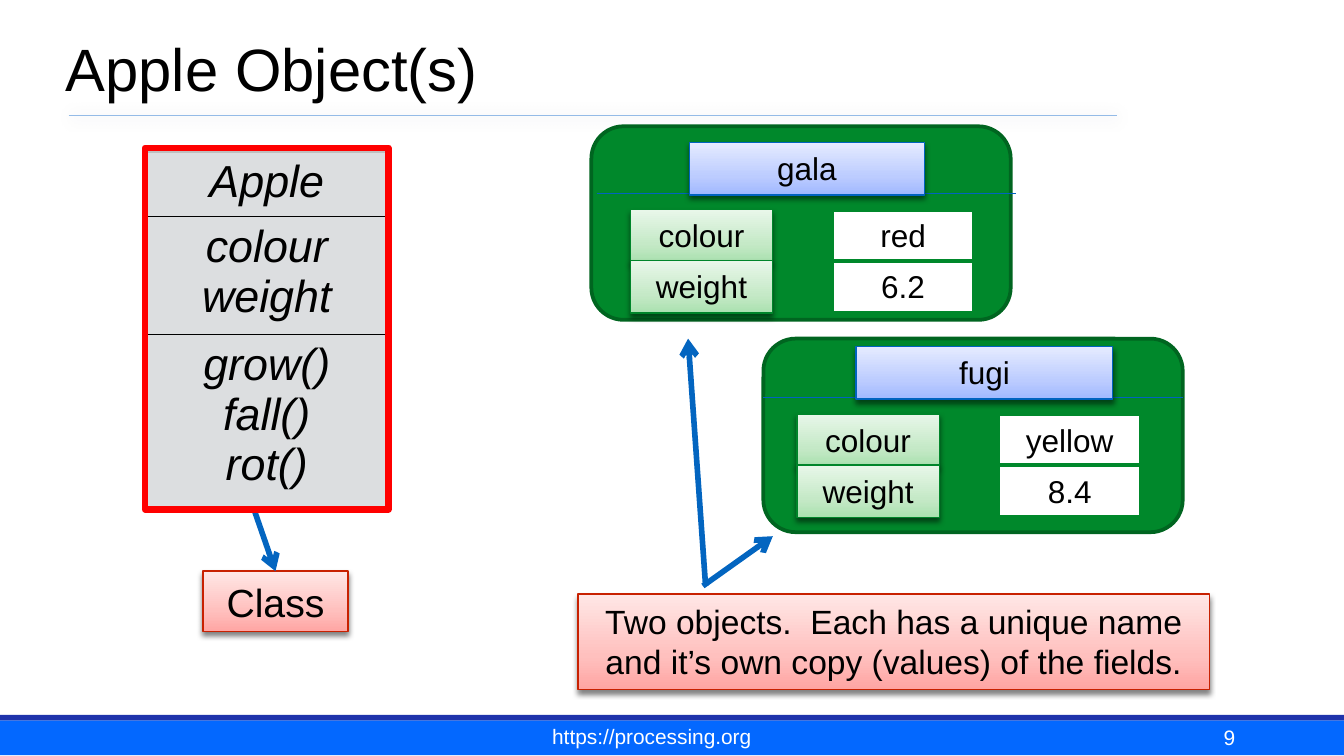
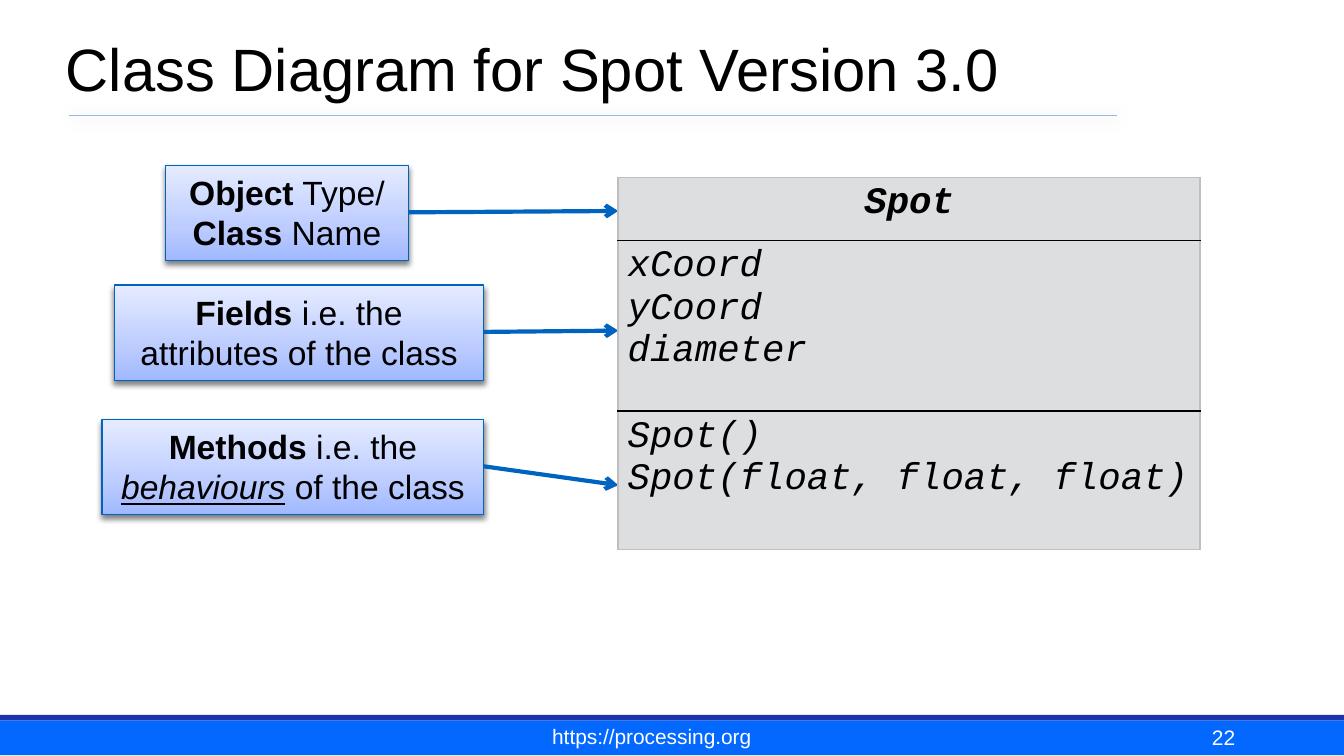
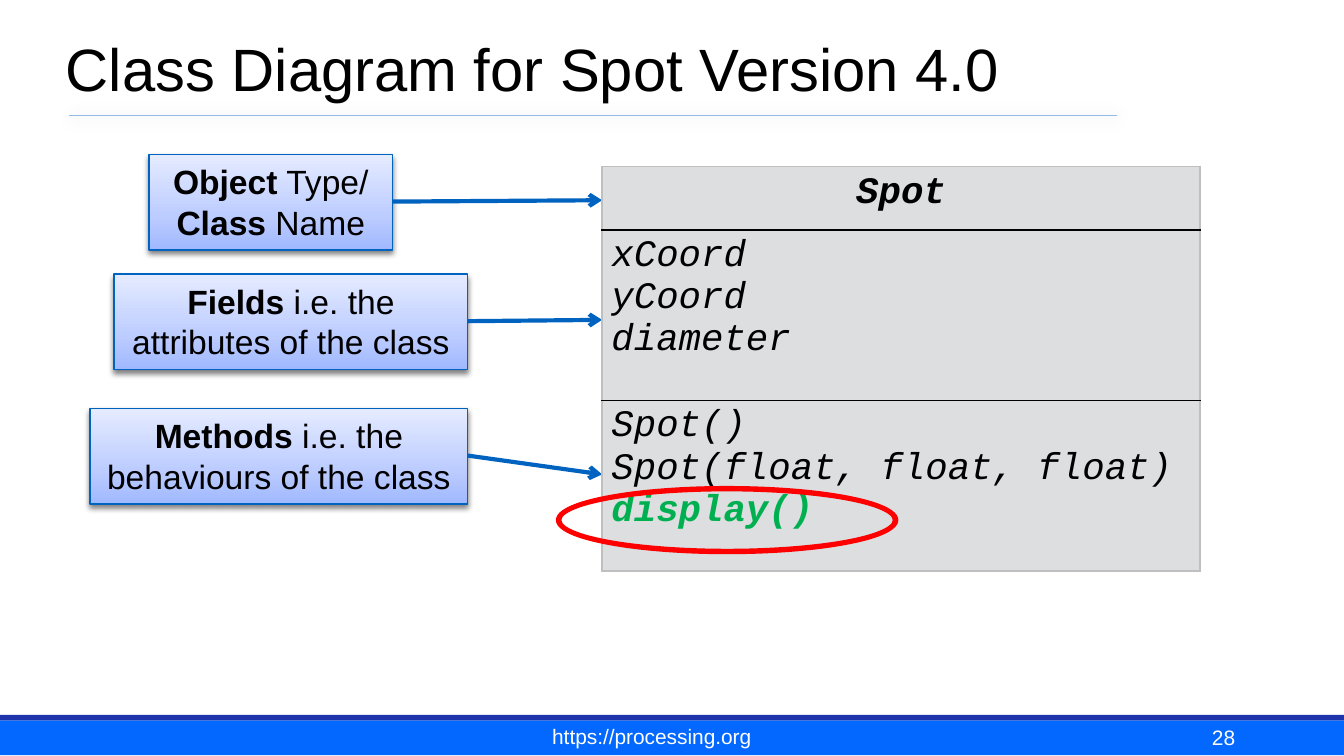
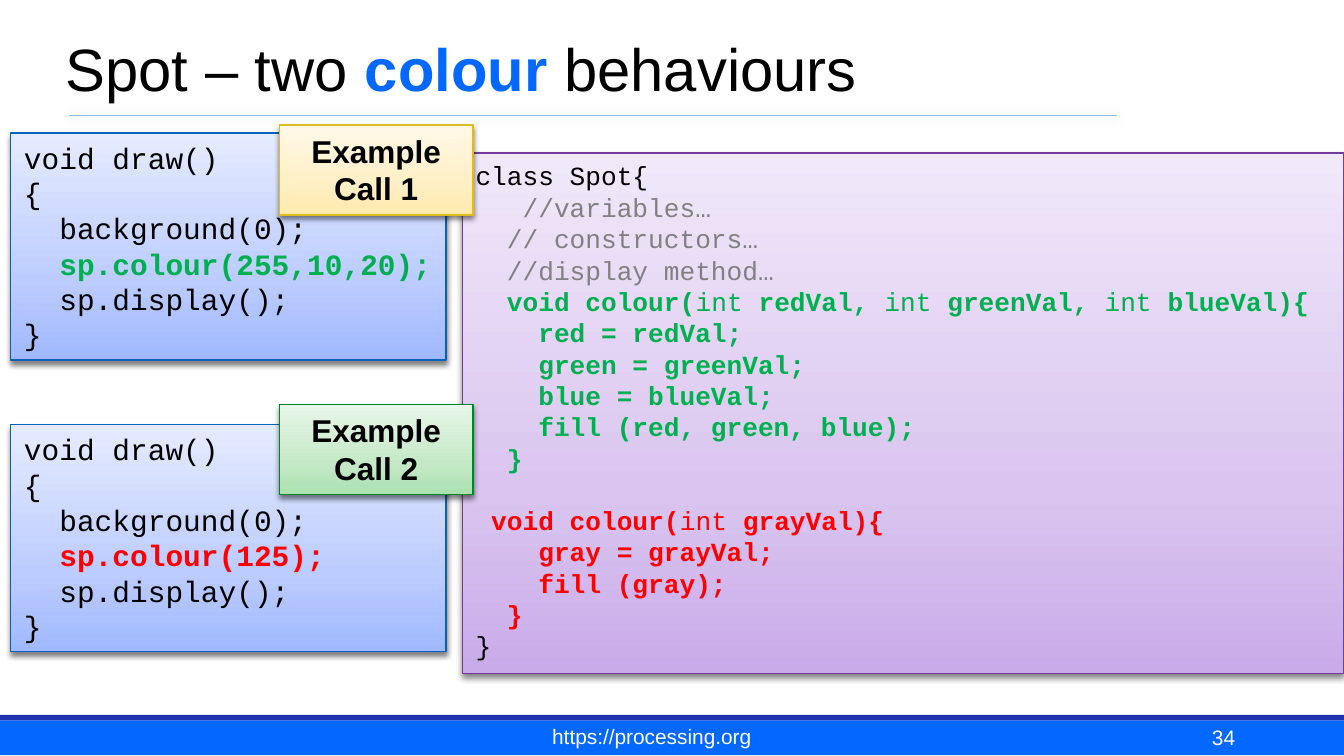
from copy import deepcopy
from dataclasses import dataclass

from lxml import etree
from pptx import Presentation
from pptx import util as u
from pptx.dml.color import RGBColor
from pptx.enum import shapes, text
from pptx.oxml.ns import qn

KIND = shapes.MSO_SHAPE
ALIGN = text.PP_ALIGN
ANCHOR = text.MSO_ANCHOR


@dataclass(frozen=True)
class Tint:
    """Gradient from bottom to top, with its outline."""

    stops: tuple
    line: str


@dataclass(frozen=True)
class Theme:
    """Colours, fonts and type sizes of the deck."""

    sans: str = "Arial"
    mono: str = "Courier New"
    black: str = "000000"
    white: str = "FFFFFF"
    blue: str = "0368FF"
    navy: str = "1F33AB"
    rule: str = "94BBE7"
    rule_shadow: str = "003D62"
    arrow: str = "0365C0"
    table: str = "DCDEE0"
    table_edge: str = "BFBFBF"
    red: str = "FF0000"
    green: str = "00B050"
    gray: str = "808080"
    card: str = "00882B"
    card_line: str = "006520"
    sky: Tint = Tint(("A0B8FF", "BCCCFF", "E5EBFF"), "0063BF")
    rose: Tint = Tint(("FFA5A3", "FFC0BE", "FFE7E6"), "C82101")
    mint: Tint = Tint(("AAE1AF", "C5E9C7", "E8F7E9"), "00852A")
    lilac: Tint = Tint(("CAABEA", "D9C5EF", "F1E8FA"), "753B9A")
    sand: Tint = Tint(("FFE9AD", "FFEFC5", "FFF9E9"), "DCBC1E")
    title: float = 32
    cell: float = 24
    code_cell: float = 20
    tag: float = 21
    note: float = 18
    field: float = 16.9
    call: float = 15.8
    code: float = 14
    footer: float = 11.2


T = Theme()


def rgb(color):
    """Return a colour object for a hex string."""
    return RGBColor.from_string(color)


def inches(*values):
    """Turn numbers into lengths."""
    return [u.Inches(v) for v in values]


def add_run(p, run, size, font, color, flags):
    """Add one run, given as text or as (text, flags, colour)."""
    words, own, tone = (run, flags, color) if isinstance(run, str) else run
    r = p.add_run()
    r.text = words
    f = r.font
    f.size, f.name = u.Pt(size), font
    f.color.rgb = rgb(tone or color)
    f.bold, f.italic, f.underline = "b" in own, "i" in own, "u" in own


def write(tf, paras, size, font=T.sans, color=T.black, flags="", align=ALIGN.LEFT):
    """Fill a text frame; None opens a gap of one line before the next paragraph."""
    gap, p = False, None
    for runs in paras:
        if runs is None:
            gap = True
            continue
        p = tf.add_paragraph() if p is not None else tf.paragraphs[0]
        p.alignment = align
        if gap:
            p.space_before, gap = u.Pt(round(size * 1.17, 1)), False
        for run in [runs] if isinstance(runs, str) else runs:
            add_run(p, run, size, font, color, flags)


def set_frame(tf, margins, anchor, fit=text.MSO_AUTO_SIZE.NONE):
    """Set wrapping, insets, anchor and fit of a text frame."""
    tf.word_wrap, tf.auto_size = True, fit
    tf.vertical_anchor = anchor
    tf.margin_left = tf.margin_right = u.Inches(margins[0])
    tf.margin_top = tf.margin_bottom = u.Inches(margins[1])


def add_shadow(sp, color, alpha, blur, dist, angle):
    """Put an outer shadow into the empty effect list of a shape."""
    effects = sp._element.spPr.find(qn("a:effectLst"))
    shadow = etree.SubElement(
        effects, qn("a:outerShdw"), blurRad=str(u.Pt(blur)), dist=str(u.Pt(dist)),
        dir=str(angle * 60000), algn="ctr", rotWithShape="0")
    tone = etree.SubElement(shadow, qn("a:srgbClr"), val=color)
    etree.SubElement(tone, qn("a:alpha"), val=str(alpha * 1000))


def add_shape(slide, box, fill=None, line=None, width=1, kind=KIND.RECTANGLE):
    """Add a flat shape without shadow."""
    sp = slide.shapes.add_shape(kind, *inches(*box))
    sp.shadow.inherit = False
    if fill:
        sp.fill.solid()
        sp.fill.fore_color.rgb = rgb(fill)
    else:
        sp.fill.background()
    if line:
        sp.line.color.rgb = rgb(line)
        sp.line.width = u.Pt(width)
    else:
        sp.line.fill.background()
    return sp


def add_panel(slide, box, tint, paras, size, **style):
    """Add a shaded, shadowed box with text."""
    sp = add_shape(slide, box, line=tint.line, width=0.75)
    sp.fill.gradient()
    sp.fill.gradient_angle = 90
    stops = sp._element.spPr.find(".//" + qn("a:gsLst"))
    stops.append(deepcopy(stops[0]))
    for stop, at, color in zip(sp.fill.gradient_stops, (0, 0.35, 1), tint.stops):
        stop.position, stop.color.rgb = at, rgb(color)
    add_shadow(sp, T.black, 50, 3, 2, 90)
    fill_box(sp, paras, size, **style)


def fill_box(sp, paras, size, align=ALIGN.CENTER, **style):
    """Write into a box that grows with its text."""
    set_frame(sp.text_frame, (0.1, 0.05), ANCHOR.TOP, text.MSO_AUTO_SIZE.SHAPE_TO_FIT_TEXT)
    write(sp.text_frame, paras, size, align=align, **style)


def add_line(slide, start, end, color, width, arrow=False):
    """Add a straight line, with an arrowhead at its end if asked."""
    line = slide.shapes.add_connector(
        shapes.MSO_CONNECTOR.STRAIGHT, *inches(*start, *end))
    line.line.color.rgb = rgb(color)
    line.line.width = u.Pt(width)
    if arrow:
        etree.SubElement(line.line._get_or_add_ln(), qn("a:tailEnd"), type="arrow")
    etree.SubElement(line._element.spPr, qn("a:effectLst"))
    return line


def add_label(slide, box, margins, paras, size, **style):
    """Add a text box anchored at its bottom."""
    tf = slide.shapes.add_textbox(*inches(*box)).text_frame
    set_frame(tf, margins, ANCHOR.BOTTOM)
    write(tf, paras, size, **style)


def set_borders(cell, top, bottom):
    """Draw the four borders of a cell."""
    props = cell._tc.get_or_add_tcPr()
    sides = {"L": T.table_edge, "R": T.table_edge, "T": top, "B": bottom}
    for side, color in sides.items():
        ln = etree.SubElement(props, qn(f"a:ln{side}"), w=str(u.Pt(1)))
        fill = etree.SubElement(ln, qn("a:solidFill"))
        etree.SubElement(fill, qn("a:srgbClr"), val=color)


def add_class_table(slide, left, top, width, heights, rows, size, font, align):
    """Add a class diagram: name, fields and methods."""
    frame = slide.shapes.add_table(
        len(rows), 1, *inches(left, top, width, sum(heights)))
    table = frame.table
    table.first_row = table.horz_banding = False
    last = len(rows) - 1
    for i, (height, paras) in enumerate(zip(heights, rows)):
        table.rows[i].height = u.Inches(height)
        cell = table.cell(i, 0)
        set_borders(cell, T.black if i else T.table_edge,
                    T.black if i < last else T.table_edge)
        cell.fill.solid()
        cell.fill.fore_color.rgb = rgb(T.table)
        cell.margin_left = cell.margin_right = u.Inches(0.07)
        cell.margin_top = cell.margin_bottom = u.Inches(0.04)
        write(cell.text_frame, paras, size, font, flags="i",
              align=align if i else ALIGN.CENTER)


def add_base(prs, title, number):
    """Add a slide with its title, rule and footer."""
    slide = prs.slides.add_slide(prs.slide_layouts[6])
    add_shape(slide, (0, 5.36, 10, 0.26), T.blue)
    add_shape(slide, (0, 5.32, 10, 0.04), T.navy)
    rule = add_line(slide, (0.51, 0.86), (8.31, 0.86), T.rule, 1)
    add_shadow(rule, T.rule_shadow, 20, 8, 1, 45)
    add_label(slide, (0.43, 0, 8.5, 0.83), (0.06, 0.06), [title], T.title)
    add_label(slide, (3.52, 5.35, 2.66, 0.26), (0.08, 0.04), ["https://processing.org"],
              T.footer, color=T.white, align=ALIGN.CENTER)
    add_label(slide, (7.17, 5.33, 2.08, 0.31), (0.06, 0.06), [str(number)],
              T.footer, color=T.white, align=ALIGN.RIGHT)
    return slide


def add_object_card(slide, left, top, shift, name, name_width, fields):
    """Add an object with its name and its field values."""
    add_shape(slide, (left, top, 3.12, 1.44), T.card, T.card_line, 2,
              KIND.ROUNDED_RECTANGLE)
    x, y = left + shift[0], top + shift[1]
    add_line(slide, (x, y + 0.44), (x + 3.12, y + 0.44), T.sky.line, 0.75)
    for i, (field, value) in enumerate(fields):
        row = y + 0.56 + i * 0.38
        add_panel(slide, (x + 0.25, row, 1.06, 0.39), T.mint, [field], T.field)
        sp = add_shape(slide, (x + 1.75, row, 1.06, 0.39), T.white, T.card, 2)
        fill_box(sp, [value], T.field)
    add_panel(slide, (x + 0.69, y + 0.06, name_width, 0.39), T.sky, [name], T.field)


def add_class_diagram(slide, left, top, width, heights, methods, notes):
    """Add the Spot class table and the notes that point at its rows."""
    rights, tops, targets = (1.56, 1, 1), (-0.09, 0.8, 1.8), (0.25, 1.14, 2.29)
    for (paras, w), gap, dy, target in zip(notes, rights, tops, targets):
        right, y = left - gap, top + dy
        add_panel(slide, (right - w, y, w, 0.71), T.sky, [paras], T.note)
        add_line(slide, (right, y + 0.35), (left, top + target), T.sky.line, 2.25, True)
    rows = [[[("Spot", "bi", None)]], ["xCoord", "yCoord", "diameter"], methods]
    add_class_table(slide, left, top, width, heights, rows,
                    T.code_cell, T.mono, ALIGN.LEFT)


def add_call(slide, left, top, call, color):
    """Add the draw() code with one highlighted call."""
    code = ["void draw()", "{", "  background(0);", [(f"  {call}", "b", color)],
            "  sp.display();", "}"]
    add_panel(slide, (left, top, 3.24, 1.69), T.sky, code, T.call,
              font=T.mono, align=ALIGN.LEFT)


def signature(indent, params, color):
    """Return the runs of a colour() method header."""
    runs = [(f"{indent}void colour(", "b", color)]
    for i, param in enumerate(params):
        end = "){" if i == len(params) - 1 else ", "
        runs += [("int ", "", color), (param + end, "b", color)]
    return runs


def bold_lines(lines, color):
    """Return one bold coloured paragraph for each line."""
    return [[(line, "b", color)] for line in lines]


def build_objects(prs):
    """Build the slide on a class and its objects."""
    slide = add_base(prs, "Apple Object(s)", 9)
    rows = [["Apple"], ["colour", "weight"], ["grow()", "fall()", "rot()"]]
    add_class_table(slide, 1.08, 1.13, 1.81, (0.48, 0.88, 1.29), rows,
                    T.cell, T.sans, ALIGN.CENTER)
    add_panel(slide, (1.51, 4.25, 1.08, 0.45), T.rose, ["Class"], T.tag)
    note = "Two objects.  Each has a unique name and it’s own copy (values) of the fields."
    add_panel(slide, (4.3, 4.42, 4.7, 0.71), T.rose, [note], T.note)
    for start, end in (((1.89, 3.79), (2.05, 4.25)), ((5.25, 4.36), (5.12, 2.52)),
                       ((5.23, 4.36), (5.75, 3.99))):
        add_line(slide, start, end, T.arrow, 3, True)
    add_shape(slide, (1.08, 1.1, 1.81, 2.69), line=T.red, width=3.5)
    add_object_card(slide, 4.4, 0.94, (0.04, 0.06), "gala", 1.75,
                    [("colour", "red"), ("weight", "6.2")])
    add_object_card(slide, 5.68, 2.52, (0, 0), "fugi", 1.91,
                    [("colour", "yellow"), ("weight", "8.4")])


def build_diagrams(prs):
    """Build the two class diagram slides."""
    name = [("Object", "b", None), " Type/ ", ("Class", "b", None), " Name"]
    fields = [("Fields", "b", None), " i.e. the attributes of the class"]
    methods = ("Methods", "b", None)
    constructors = ["Spot()", "Spot(float, float, float)"]

    slide = add_base(prs, "Class Diagram for Spot Version 3.0", 22)
    behaviours = [methods, " i.e. the ", ("behaviours", "iu", None), " of the class"]
    add_class_diagram(slide, 4.6, 1.32, 4.33, (0.47, 1.27, 1.03), constructors,
                      [(name, 1.81), (fields, 2.75), (behaviours, 2.84)])

    slide = add_base(prs, "Class Diagram for Spot Version 4.0", 28)
    behaviours = [methods, " i.e. the behaviours of the class"]
    display = [("display()", "bi", T.green)]
    add_class_diagram(slide, 4.48, 1.24, 4.45, (0.47, 1.27, 1.27),
                      constructors + [display],
                      [(name, 1.81), (fields, 2.63), (behaviours, 2.81)])
    ring = add_shape(slide, (4.15, 3.63, 2.52, 0.48), T.red, T.red, 2, KIND.DONUT)
    ring.adjustments[0] = 0.026


def build_behaviours(prs):
    """Build the slide on the two colour methods."""
    title = ["Spot – two ", ("colour", "b", T.blue), " behaviours"]
    slide = add_base(prs, title, 34)
    add_call(slide, 0.08, 3.16, "sp.colour(125);", T.red)
    code = [
        "class Spot{",
        [("   //variables…", "", T.gray)],
        [("  // constructors…", "", T.gray)],
        [("  //display method…", "", T.gray)],
        signature("  ", ("redVal", "greenVal", "blueVal"), T.green),
        *bold_lines(("    red = redVal;", "    green = greenVal;", "    blue = blueVal;",
                     "    fill (red, green, blue);", "  }"), T.green),
        None,
        signature(" ", ("grayVal",), T.red),
        *bold_lines(("    gray = grayVal;", "    fill (gray);", "  }"), T.red),
        "}",
    ]
    add_panel(slide, (3.44, 1.14, 6.56, 3.87), T.lilac, code, T.code,
              font=T.mono, align=ALIGN.LEFT)
    add_call(slide, 0.08, 0.99, "sp.colour(255,10,20);", T.green)
    for i, (top, tint) in enumerate(((0.93, T.sand), (3.01, T.mint)), 1):
        add_panel(slide, (2.08, top, 1.44, 0.67), tint, [f"Example Call {i}"],
                  T.field, flags="b")


def main():
    """Build and save the deck."""
    prs = Presentation()
    prs.slide_width = u.Inches(10)
    prs.slide_height = prs.slide_width * 9 // 16
    build_objects(prs)
    build_diagrams(prs)
    build_behaviours(prs)
    prs.save("out.pptx")


if __name__ == "__main__":
    main()
